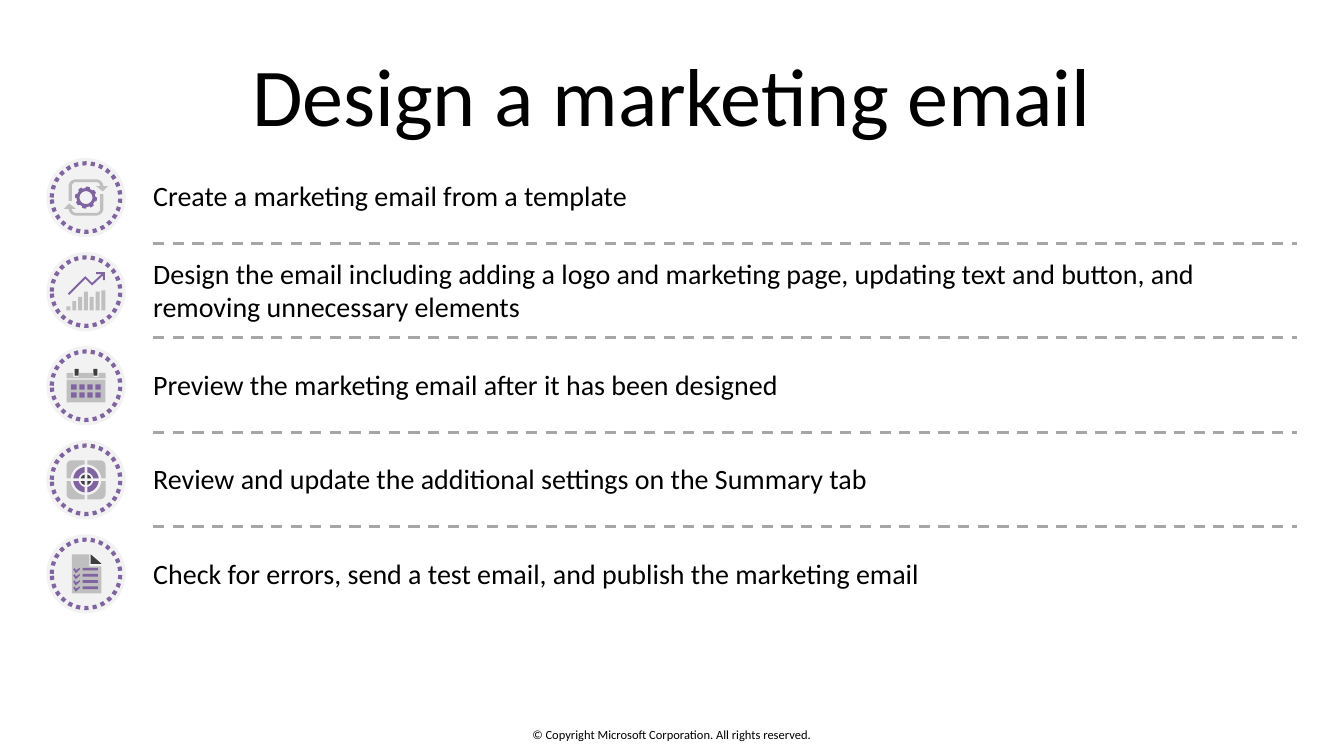
"""Build a slide listing the five steps of designing a marketing email."""
from itertools import product
from math import cos, radians, sin

from lxml import etree
from pptx import Presentation
from pptx.dml.color import RGBColor
from pptx.enum.dml import MSO_LINE
from pptx.enum.shapes import MSO_CONNECTOR, MSO_SHAPE
from pptx.enum.text import MSO_ANCHOR, PP_ALIGN
from pptx.oxml.ns import qn
from pptx.util import Inches, Pt

TITLE = "Design a marketing email"
STEPS = [
    "Create a marketing email from a template",
    "Design the email including adding a logo and marketing page, "
    "updating text and button, and removing unnecessary elements",
    "Preview the marketing email after it has been designed",
    "Review and update the additional settings on the Summary tab",
    "Check for errors, send a test email, and publish the marketing email",
]
RIGHTS = "© Copyright Microsoft Corporation. All rights reserved."

BLACK = RGBColor(0x00, 0x00, 0x00)
PURPLE = RGBColor(0x80, 0x64, 0xA2)
GREY = RGBColor(0xBF, 0xBF, 0xBF)
PALE = RGBColor(0xF2, 0xF2, 0xF2)
DARK = RGBColor(0x3C, 0x3C, 0x41)
RULE = RGBColor(0xA6, 0xA6, 0xA6)

FONT = "Calibri"
LINE = MSO_CONNECTOR.STRAIGHT
OVAL, RECT = MSO_SHAPE.OVAL, MSO_SHAPE.RECTANGLE
DASH, DOTS = MSO_LINE.DASH, MSO_LINE.ROUND_DOT
CENTER, LEFT = PP_ALIGN.CENTER, PP_ALIGN.LEFT
MIDDLE = MSO_ANCHOR.MIDDLE

WIDTH = Inches(10)
HEIGHT = WIDTH * 9 // 16
PITCH = 0.7
MID_X, MID_Y = 0.64, 1.47
TEXT_X, TEXT_W, TEXT_H = 1.14, 8.52, 0.53
TEXT_Y, TEXT_LOW = 1.19, 4
RULE_Y, RULE_LOW, RULE_END = 1.81, 3.92, 9.65
UNIT = 0.01


def arc(x, y, size, start, end, count=8):
    """Return points along an arc, with angles in degrees."""
    turns = [radians(start + (end - start) * i / count) for i in range(count + 1)]
    return [(x + size * cos(t), y + size * sin(t)) for t in turns]


def cycle():
    """Return two turning arrows around a gear."""
    arrow = (arc(-7.5, -8.5, 3, 180, 270) + arc(7.5, -8.5, 3, 270, 360)
             + [(7.5, -8.5), (12.5, -4.5), (16.5, -8.5), (13, -8.5)]
             + arc(7.5, -8, 5.5, 0, -90) + arc(-7.5, -8, 5.5, -90, -180)
             + [(-13, 2.5), (-10.5, 2.5)])
    back = [(-x, -y) for x, y in arrow]
    gear = []
    for mid in range(10, 370, 45):
        gear += arc(0, 0, 8.2, mid - 10, mid + 10, 2) + arc(0, 0, 7, mid + 14, mid + 31, 2)
    return [(GREY, [arrow]), (GREY, [back]), (PURPLE, [gear, arc(0, 0, 4.8, 0, 360, 24)])]


def growth():
    """Return rising bars under a trend arrow."""
    bars = [(GREY, (-14.5 + 4.33 * i, 14 - tall, 3, tall))
            for i, tall in enumerate([3, 7, 10, 14, 10, 14, 15])]
    trend = [(7.5, -14.5), (7.5, -13), (11.5, -13), (4.5, -6.5), (-0.5, -11.5),
             (-13.5, 1.5), (-12.5, 2.5), (-0.5, -9.5), (4.5, -4.5), (12.5, -12),
             (12.5, -8.5), (14, -8.5), (14, -14.5)]
    return bars + [(PURPLE, [trend])]


def month():
    """Return a calendar page with two pegs and eight days."""
    pegs = [(DARK, (x, -12.5, 3, 5)) for x in (-8.5, 5.5)]
    head = [(-14.5, -9.5), (-9.5, -9.5), (-9.5, -6.5), (-5.5, -6.5), (-5.5, -9.5),
            (5.5, -9.5), (5.5, -6.5), (9.5, -6.5), (9.5, -9.5), (14.5, -9.5),
            (14.5, -5.5), (-14.5, -5.5)]
    days = [(PURPLE, (-11 + 6 * col, -1 + 6 * row, 4, 4))
            for row, col in product(range(2), range(4))]
    return pegs + [(GREY, [head]), (GREY, (-14.5, -4.5, 29, 17))] + days


def target():
    """Return a target cut in four by a cross."""
    edge = (arc(0, 0, 11.5, 85, 5) + [(14.5, 1)]
            + arc(10.5, 10.5, 4, 0, 90) + [(1, 14.5)])
    ring = arc(0, 0, 9.5, 84, 6) + arc(0, 0, 5.5, 10, 80)
    core = [(1, 1)] + arc(0, 0, 4, 14, 76)
    return [(color, [[(x * a, y * b) for x, y in part]])
            for a, b in product((-1, 1), repeat=2)
            for color, part in ((GREY, edge), (PURPLE, ring), (DARK, core))]


def check():
    """Return a folded page with four ticked lines."""
    page = [(-10.5, -14.5), (2.5, -14.5), (2.5, -5.5), (11.5, -5.5),
            (11.5, 14.5), (-10.5, 14.5)]
    fold = [(3.5, -14.5), (11.5, -7.5), (3.5, -7.5)]
    tick = [(-4.5, 0), (-4.5, 1), (-7.5, 4), (-9.5, 1.2), (-8.5, 0.2), (-7.5, 1.8)]
    parts = [(GREY, [page]), (DARK, [fold])]
    for i in range(4):
        top = -4.5 + 4.6 * i
        parts += [(PURPLE, [[(x, y + top) for x, y in tick]]),
                  (PURPLE, (-2.5, top, 11.5, 2))]
    return parts


ICONS = [cycle, growth, month, target, check]


def paint(shape, color):
    shape.shadow.inherit = False
    shape.fill.solid()
    shape.fill.fore_color.rgb = color
    shape.line.fill.background()


def disc(shapes, mid, size):
    return shapes.add_shape(OVAL, Inches(MID_X - size / 2), Inches(mid - size / 2),
                            Inches(size), Inches(size))


def draw(slide, mid, parts):
    shapes = slide.shapes.add_group_shape().shapes
    paint(disc(shapes, mid, 0.59), PALE)
    ring = disc(shapes, mid, 0.51)
    ring.shadow.inherit = False
    ring.fill.background()
    ring.line.color.rgb = PURPLE
    ring.line.width = Pt(2.25)
    ring.line.dash_style = DOTS

    def place(x, y):
        return Inches(MID_X + x * UNIT), Inches(mid + y * UNIT)

    for color, form in parts:
        if isinstance(form, tuple):
            x, y, wide, tall = form
            shape = shapes.add_shape(RECT, *place(x, y),
                                     Inches(wide * UNIT), Inches(tall * UNIT))
        else:
            paths = [[place(x, y) for x, y in path] for path in form]
            pen = shapes.build_freeform(*paths[0][0])
            pen.add_line_segments(paths[0][1:])
            for path in paths[1:]:
                pen.move_to(*path[0])
                pen.add_line_segments(path[1:])
            shape = pen.convert_to_shape()
        paint(shape, color)


def write(frame, text, size, align):
    frame.text = text
    frame.word_wrap = True
    frame.vertical_anchor = MIDDLE
    para = frame.paragraphs[0]
    para.alignment = align
    para.font.size = Pt(size)
    para.font.name = FONT
    para.font.color.rgb = BLACK


def label(slide, box, text, size, align):
    frame = slide.shapes.add_textbox(*map(Inches, box)).text_frame
    frame.margin_left = frame.margin_right = 0
    frame.margin_top = frame.margin_bottom = 0
    write(frame, text, size, align)


def rule(slide, y):
    line = slide.shapes.add_connector(LINE, Inches(TEXT_X), Inches(y),
                                      Inches(RULE_END), Inches(y))
    line.line.color.rgb = RULE
    line.line.width = Pt(1.5)
    line.line.dash_style = DASH
    etree.SubElement(line._element.spPr, qn("a:effectLst"))


def main():
    deck = Presentation()
    deck.slide_width, deck.slide_height = WIDTH, HEIGHT
    slide = deck.slides.add_slide(deck.slide_layouts[5])
    title = slide.shapes.title
    title.left, title.top = Inches(0.5), Inches(0.23)
    title.width, title.height = Inches(9), Inches(0.94)
    write(title.text_frame, TITLE, 44, CENTER)
    gaps = len(STEPS) - 1
    for i in range(gaps):
        rule(slide, RULE_Y + (RULE_LOW - RULE_Y) * i / (gaps - 1))
    for i, (text, icon) in enumerate(zip(STEPS, ICONS)):
        draw(slide, MID_Y + PITCH * i, icon())
        top = TEXT_Y + (TEXT_LOW - TEXT_Y) * i / gaps
        label(slide, (TEXT_X, top, TEXT_W, TEXT_H), text, 15, LEFT)
    label(slide, (3.31, 5.41, 3.38, 0.11), RIGHTS, 6.7, CENTER)
    deck.save("out.pptx")


if __name__ == "__main__":
    main()
